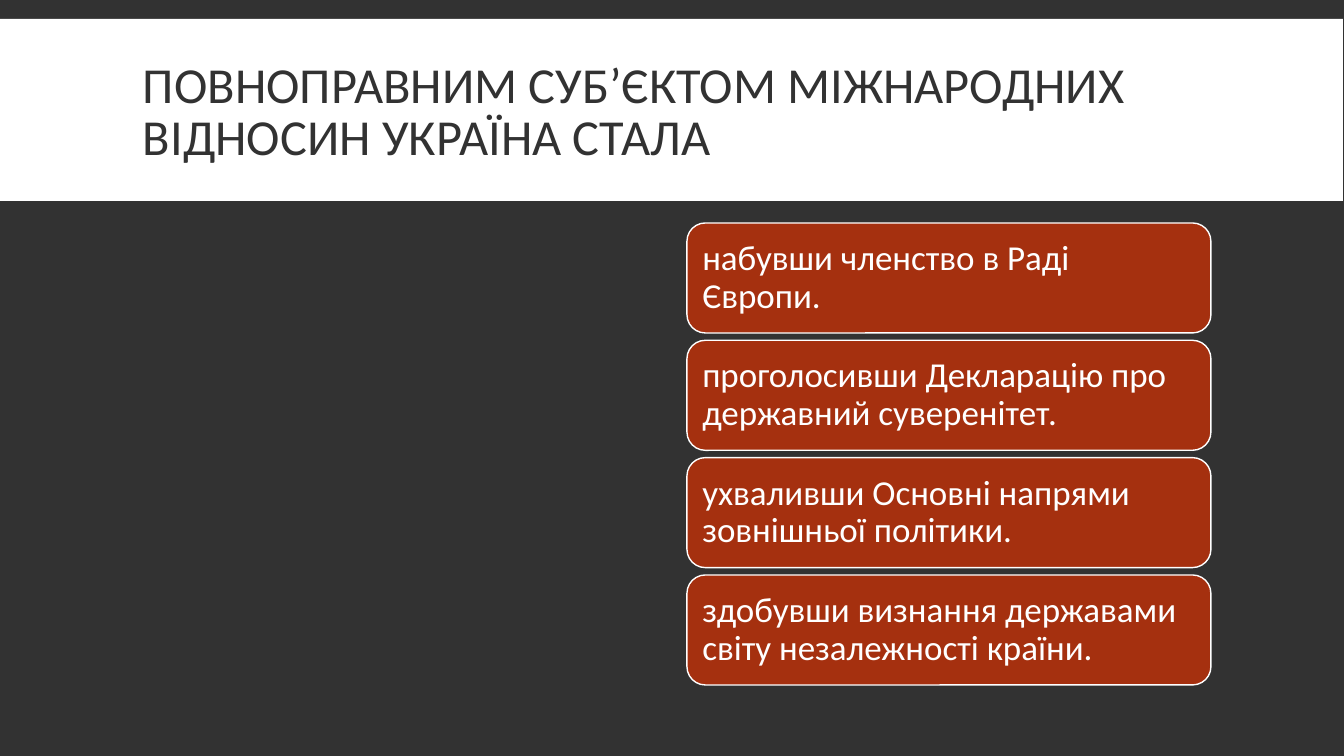
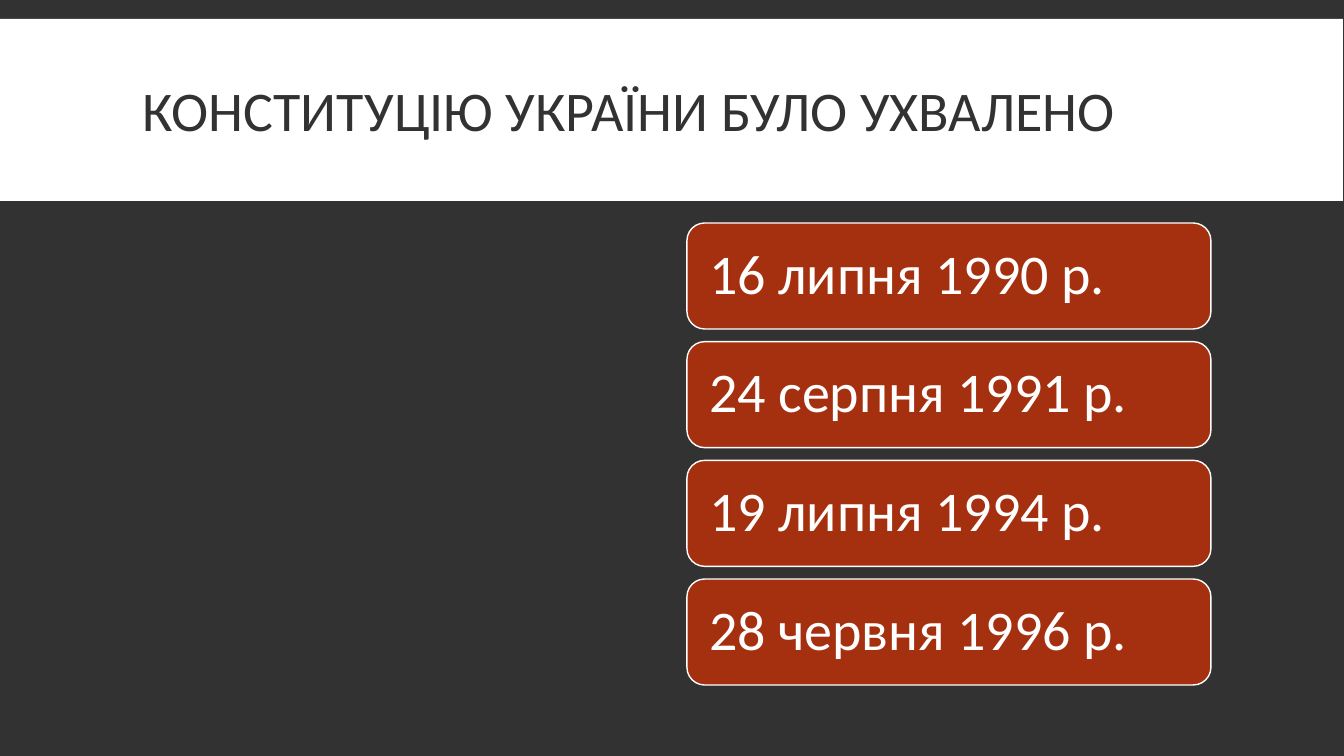
import pptx
import pptx.dml.color
import pptx.enum.shapes
import pptx.enum.text
import pptx.util

WIDE, HIGH = 1344, 756
SCALE = 12192000 / WIDE
DARK, WHITE, RED = "323232", "FFFFFF", "A5300F"
FONT = "Calibri"
LEFT, TOP, WIDTH, END = 687, 223, 524, 685
KIND = pptx.enum.shapes.MSO_SHAPE

SLIDES = [
    dict(
        title="ПОВНОПРАВНИМ СУБ’ЄКТОМ МІЖНАРОДНИХ ВІДНОСИН УКРАЇНА СТАЛА",
        title_size=36,
        items=[
            "набувши членство в Раді Європи.",
            "проголосивши Декларацію про державний суверенітет.",
            "ухваливши Основні напрями зовнішньої політики.",
            "здобувши визнання державами світу незалежності країни.",
        ],
        height=110, size=25, inset=10,
    ),
    dict(
        title="КОНСТИТУЦІЮ УКРАЇНИ БУЛО УХВАЛЕНО",
        title_size=40,
        items=[
            "16 липня 1990 р.",
            "24 серпня 1991 р.",
            "19 липня 1994 р.",
            "28 червня 1996 р.",
        ],
        height=106, size=40, inset=17,
    ),
]


def emu(px):
    return pptx.util.Emu(round(px * SCALE))


def paint(fill, color):
    fill.solid()
    fill.fore_color.rgb = pptx.dml.color.RGBColor.from_string(color)


def write(shape, text, size, color, space, across=10, down=5):
    """Put one left-aligned, vertically centred paragraph in the shape."""
    frame = shape.text_frame
    frame.word_wrap = True
    frame.vertical_anchor = pptx.enum.text.MSO_ANCHOR.MIDDLE
    frame.margin_left = frame.margin_right = emu(across)
    frame.margin_top = frame.margin_bottom = emu(down)
    para = frame.paragraphs[0]
    para.alignment = pptx.enum.text.PP_ALIGN.LEFT
    para.line_spacing = space
    run = para.add_run()
    run.text = text
    run.font.name = FONT
    run.font.size = pptx.util.Pt(size)
    paint(run.font.fill, color)


def block(slide, kind, box, color, edge=None):
    shape = slide.shapes.add_shape(kind, *map(emu, box))
    shape.shadow.inherit = False
    paint(shape.fill, color)
    if edge:
        paint(shape.line.fill, edge)
        shape.line.width = pptx.util.Pt(1)
    else:
        shape.line.fill.background()
    return shape


def header(slide, text, size):
    block(slide, KIND.RECTANGLE, (0, 19, WIDE - 1, 182), WHITE)
    box = slide.shapes.add_textbox(*map(emu, (133, 31, 1079, 166)))
    write(box, text, size, DARK, 0.85)


def stack(slide, items, height, size, inset):
    """Spread equal cards evenly between TOP and END."""
    step = (END - TOP - height) / (len(items) - 1)
    for row, text in enumerate(items):
        box = (LEFT, TOP + row * step, WIDTH, height)
        card = block(slide, KIND.ROUNDED_RECTANGLE, box, RED, WHITE)
        write(card, text, size, WHITE, 0.9, across=inset, down=inset)


def main():
    deck = pptx.Presentation()
    deck.slide_width, deck.slide_height = emu(WIDE), emu(HIGH)
    paint(deck.slide_master.background.fill, DARK)
    for data in SLIDES:
        slide = deck.slides.add_slide(deck.slide_layouts[6])
        header(slide, data["title"], data["title_size"])
        stack(slide, data["items"], data["height"], data["size"], data["inset"])
    deck.save("out.pptx")


if __name__ == "__main__":
    main()
